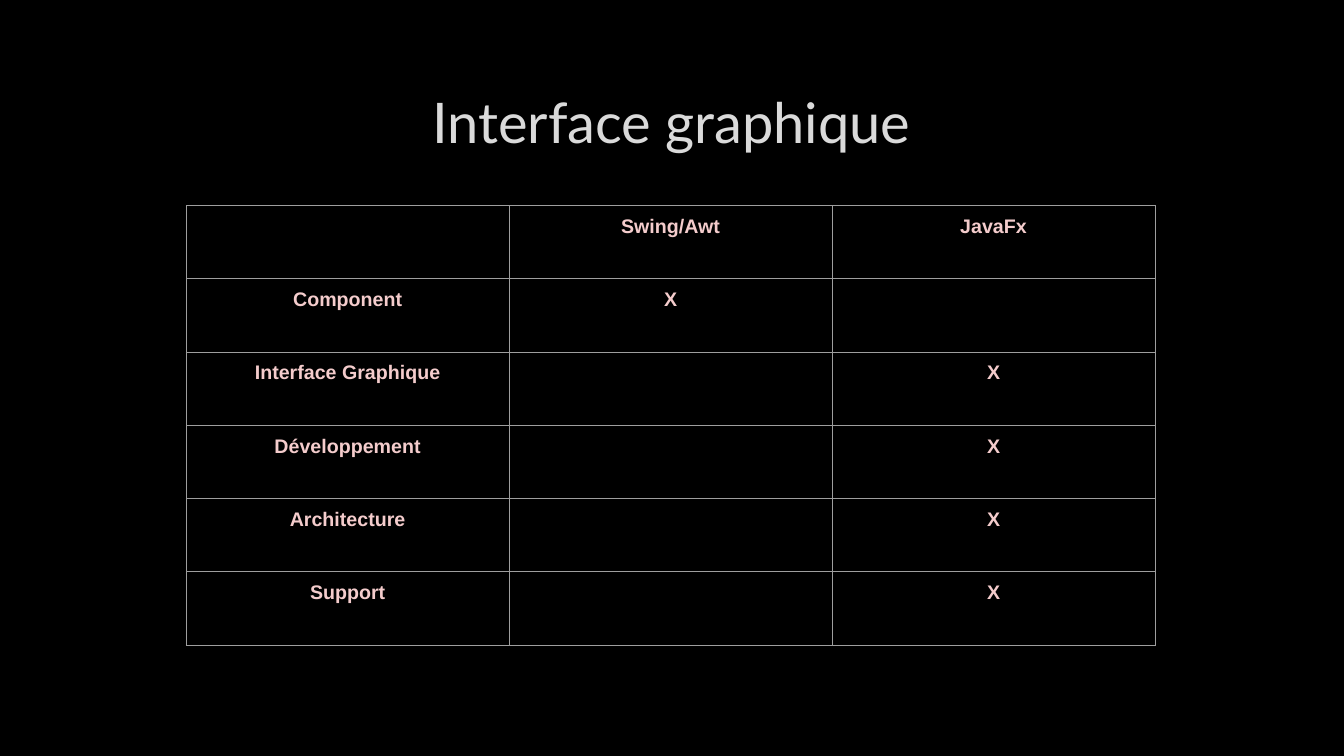
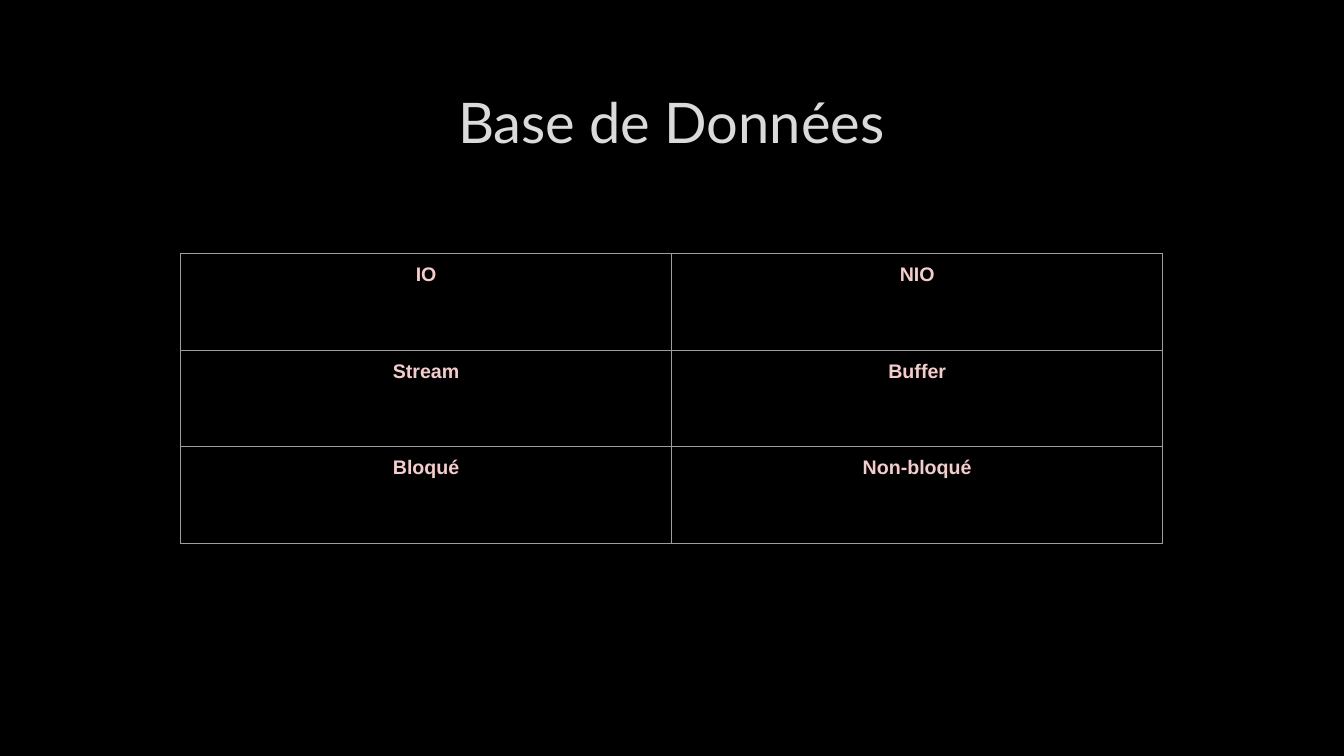
from dataclasses import dataclass

from lxml import etree
from pptx import Presentation
from pptx.dml.color import RGBColor
from pptx.enum.text import MSO_ANCHOR, PP_ALIGN
from pptx.oxml.ns import qn
from pptx.util import Pt

CENTER = PP_ALIGN.CENTER
MIDDLE = MSO_ANCHOR.MIDDLE

BLACK = "000000"
TITLE_GREY = "DADADA"
OUTLINE_GREY = "404040"
BORDER_GREY = "9E9E9E"
PINK = "F4CCCC"

TITLE_FORMAT = {"name": "Lato", "size": Pt(40), "bold": False}
CELL_FORMAT = {"name": "Arial", "size": Pt(14), "bold": True}
CELL_MARGIN = 7.2
LINE_WIDTH = 0.75


@dataclass(frozen=True)
class Comparison:
    """One slide: a title above a grid of equal cells, lengths in points."""
    title: str
    left: float
    top: float
    column_width: float
    row_height: float
    rows: tuple[tuple[str, ...], ...]


COMPARISONS = (
    Comparison("Interface graphique", 133, 146.8, 230.7, 52.35, (
        ("", "Swing/Awt", "JavaFx"),
        ("Component", "X", ""),
        ("Interface Graphique", "", "X"),
        ("Développement", "", "X"),
        ("Architecture", "", "X"),
        ("Support", "", "X"),
    )),
    Comparison("Base de Données", 129, 181, 350.8, 69.1, (
        ("IO", "NIO"),
        ("Stream", "Buffer"),
        ("Bloqué", "Non-bloqué"),
    )),
)


def rgb(color: str) -> RGBColor:
    return RGBColor.from_string(color)


def solid_line(tag: str, color: str, opacity: int = 100):
    """Build a solid line element for a cell side or a text outline."""
    line = etree.Element(qn(tag), w=str(Pt(LINE_WIDTH)))
    fill = etree.SubElement(line, qn("a:solidFill"))
    value = etree.SubElement(fill, qn("a:srgbClr"), val=color)
    if opacity < 100:
        etree.SubElement(value, qn("a:alpha"), val=str(opacity * 1000))
    etree.SubElement(line, qn("a:prstDash"), val="solid")
    return line


def write(frame, text: str, formats: dict, color: str):
    """Put one centred run in a text frame and return its font."""
    paragraph = frame.paragraphs[0]
    paragraph.alignment = CENTER
    run = paragraph.add_run()
    run.text = text
    for attribute, value in formats.items():
        setattr(run.font, attribute, value)
    run.font.color.rgb = rgb(color)
    return run


def add_title(slide, text: str) -> None:
    frame = slide.shapes.add_textbox(Pt(72), Pt(48.2), Pt(815), Pt(76.3)).text_frame
    frame.word_wrap = True
    frame.vertical_anchor = MIDDLE
    run = write(frame, text, TITLE_FORMAT, TITLE_GREY)
    run.font._element.insert(0, solid_line("a:ln", OUTLINE_GREY, opacity=10))


def style_cell(cell, text: str) -> None:
    for side in ("left", "top", "right", "bottom"):
        setattr(cell, f"margin_{side}", Pt(CELL_MARGIN))
    cell.fill.background()
    # Borders come before the fill in the cell properties
    properties = cell._tc.get_or_add_tcPr()
    for position, side in enumerate("LRTB"):
        properties.insert(position, solid_line(f"a:ln{side}", BORDER_GREY))
    if text:
        write(cell.text_frame, text, CELL_FORMAT, PINK)


def add_grid(slide, comparison: Comparison) -> None:
    row_count, column_count = len(comparison.rows), len(comparison.rows[0])
    table = slide.shapes.add_table(
        row_count, column_count, Pt(comparison.left), Pt(comparison.top),
        Pt(comparison.column_width * column_count),
        Pt(comparison.row_height * row_count)).table
    table.first_row = table.horz_banding = False
    for row, texts in enumerate(comparison.rows):
        for column, text in enumerate(texts):
            style_cell(table.cell(row, column), text)


def main() -> None:
    deck = Presentation()
    deck.slide_width, deck.slide_height = Pt(960), Pt(540)

    # Background shared by every slide
    background = deck.slide_master.background.fill
    background.solid()
    background.fore_color.rgb = rgb(BLACK)

    blank = deck.slide_layouts[6]
    for comparison in COMPARISONS:
        slide = deck.slides.add_slide(blank)
        add_title(slide, comparison.title)
        add_grid(slide, comparison)
    deck.save("out.pptx")


if __name__ == "__main__":
    main()
